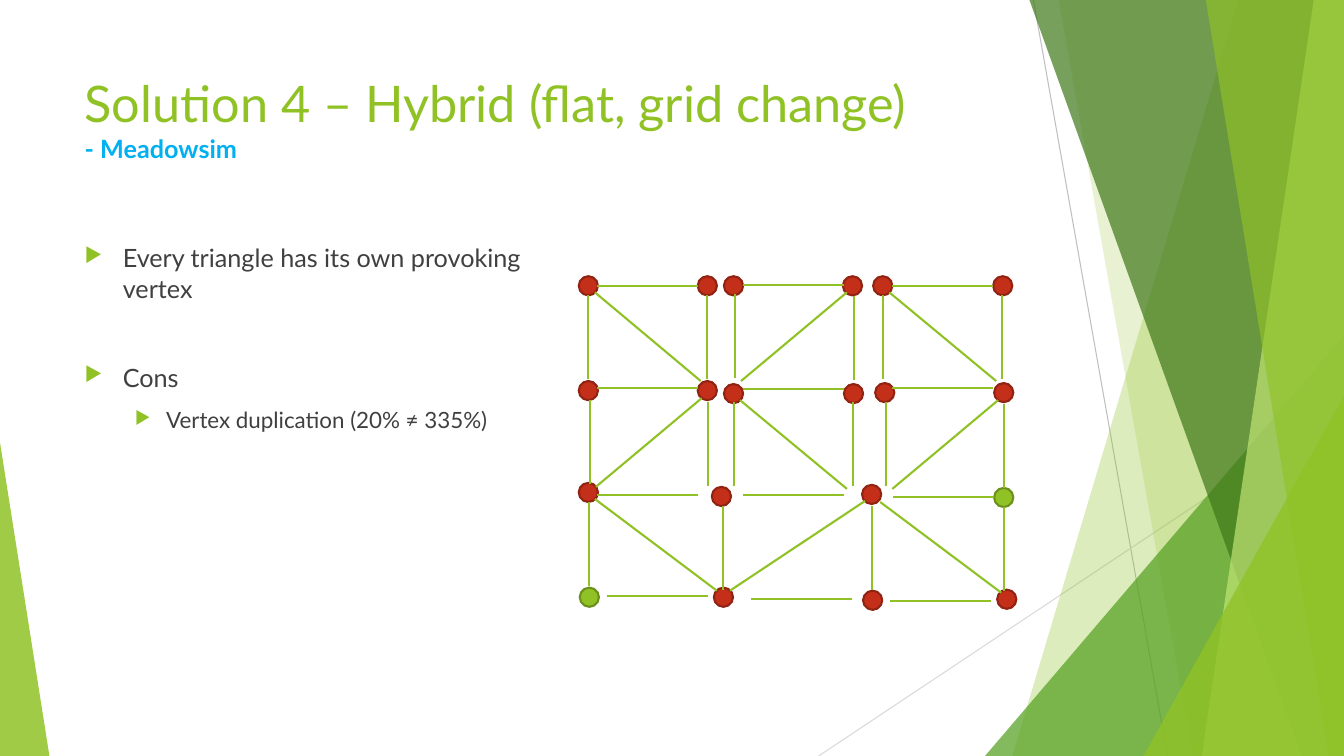
from lxml.etree import SubElement
from pptx import Presentation
from pptx.dml.color import RGBColor
from pptx.enum.shapes import MSO_CONNECTOR as Connector, MSO_SHAPE as Preset
from pptx.enum.text import MSO_ANCHOR as Anchor, MSO_AUTO_SIZE as AutoSize, PP_ALIGN as Align
from pptx.oxml.ns import qn
from pptx.util import Inches, Pt

GREEN = RGBColor(0x90, 0xC2, 0x26)
DARK_GREEN = RGBColor(0x6B, 0x90, 0x1C)
LEAF = RGBColor(0x54, 0xA0, 0x21)
FOREST = RGBColor(0x3F, 0x78, 0x19)
LIME = RGBColor(0xC0, 0xE4, 0x74)
RED = RGBColor(0xC4, 0x2F, 0x1A)
DARK_RED = RGBColor(0x91, 0x23, 0x13)
BLUE = RGBColor(0x00, 0xB0, 0xF0)
TEXT_GREY = RGBColor(0x40, 0x40, 0x40)
SILVER = RGBColor(0xBF, 0xBF, 0xBF)
PALE_GREY = RGBColor(0xD9, 0xD9, 0xD9)

FONT = "Lato"
WIDTH, HEIGHT = 13.33, 7.5
DOT = 0.19
EDGE_ACROSS, EDGE_DOWN = 1.0, 0.83

RED_DOTS = [
    (5.74, 2.74), (6.92, 2.74), (7.18, 2.74), (8.36, 2.74), (8.66, 2.74), (9.85, 2.74),
    (5.74, 3.78), (6.92, 3.78), (7.18, 3.81), (8.37, 3.81), (8.68, 3.8), (9.86, 3.8),
    (5.74, 4.79), (7.06, 4.83), (8.55, 4.81),
    (7.08, 5.83), (8.56, 5.86), (9.89, 5.85),
]
GREEN_DOTS = [(9.86, 4.84), (5.75, 5.83)]
ACROSS_STARTS = [
    (5.92, 2.84), (7.37, 2.83), (8.85, 2.84),
    (5.92, 3.85), (7.37, 3.86), (8.85, 3.85),
    (5.92, 4.91), (7.37, 4.91), (8.86, 4.93),
    (6.02, 5.91), (7.45, 5.94), (8.83, 5.96),
]
DOWN_STARTS = [
    (5.83, 2.93), (7.01, 2.93), (7.29, 2.92), (8.47, 2.94), (8.76, 2.93), (9.94, 2.93),
    (5.85, 3.97), (7.02, 3.99), (7.28, 3.99), (8.46, 3.99), (8.79, 3.99), (9.96, 4.01),
    (5.84, 4.98), (7.17, 5.02), (8.65, 5.02), (9.96, 5.03),
]
DIAGONALS = [
    (5.9, 2.9, 6.95, 3.78), (8.4, 2.9, 7.35, 3.78), (8.82, 2.9, 9.88, 3.78),
    (6.96, 3.95, 5.91, 4.83), (7.34, 3.97, 8.4, 4.85), (9.9, 3.97, 8.85, 4.85),
    (5.9, 4.95, 7.11, 5.86), (8.58, 4.97, 7.24, 5.86), (8.73, 4.98, 9.93, 5.88),
]


def apply_format(target, values):
    for name, value in values.items():
        setattr(target, name, value)


def paint(shape, color, opacity=100):
    shape.shadow.inherit = False
    shape.fill.solid()
    shape.fill.fore_color.rgb = color
    shape.line.fill.background()
    if opacity < 100:
        for tint in shape._element.spPr.iter(qn("a:srgbClr")):
            SubElement(tint, qn("a:alpha"), val=str(opacity * 1000))


def add_line(page, x1, y1, x2, y2, color=GREEN, weight=1.5):
    line = page.shapes.add_connector(
        Connector.STRAIGHT, Inches(x1), Inches(y1), Inches(x2), Inches(y2))
    line.line.color.rgb = color
    line.line.width = Pt(weight)
    SubElement(line._element.spPr, qn("a:effectLst"))


def add_band(page, top_left, top_right, bottom_left, color, opacity):
    corners = [(top_right, 0), (WIDTH, HEIGHT), (bottom_left, HEIGHT)]
    if top_right < WIDTH:
        corners.insert(1, (WIDTH, 0))
    else:
        corners[0] = (WIDTH, 0)
    builder = page.shapes.build_freeform(Inches(top_left), 0)
    builder.add_line_segments([(Inches(x), Inches(y)) for x, y in corners])
    paint(builder.convert_to_shape(), color, opacity)


def add_wedge(page, left, top, width, apex, color, opacity):
    wedge = page.shapes.add_shape(
        Preset.ISOSCELES_TRIANGLE, Inches(left), Inches(top),
        Inches(width), Inches(HEIGHT - top))
    wedge.adjustments[0] = apex
    paint(wedge, color, opacity)


def add_dot(page, left, top, fill, outline):
    dot = page.shapes.add_shape(
        Preset.OVAL, Inches(left), Inches(top), Inches(DOT), Inches(DOT))
    paint(dot, fill)
    dot.line.color.rgb = outline
    dot.line.width = Pt(1.5)


def add_span(para, text, size, color, bold=False):
    span = para.add_run()
    span.text = text
    apply_format(span.font, {"name": FONT, "size": Pt(size), "bold": bold})
    span.font.color.rgb = color


def place(box, left, top, width, height):
    apply_format(box, {"left": Inches(left), "top": Inches(top),
                       "width": Inches(width), "height": Inches(height)})
    apply_format(box.text_frame, {"word_wrap": True, "auto_size": AutoSize.NONE,
                                  "vertical_anchor": Anchor.TOP})


def add_bullet(para, text, size, indent, hanging, before, level=0):
    apply_format(para, {"space_before": Pt(before), "level": level,
                        "alignment": Align.LEFT})
    props = para._p.get_or_add_pPr()
    props.set("marL", str(Inches(indent)))
    props.set("indent", str(-Inches(hanging)))
    color = SubElement(props, qn("a:buClr"))
    SubElement(color, qn("a:srgbClr"), val=str(GREEN))
    SubElement(props, qn("a:buSzPct"), val="80000")
    SubElement(props, qn("a:buChar"), char="▶")
    add_span(para, text, size, TEXT_GREY)


def add_backdrop(page):
    add_line(page, 10.25, 0, 11.58, HEIGHT, SILVER, 0.75)
    add_line(page, WIDTH, 4.03, 8.12, HEIGHT, PALE_GREY, 0.75)
    add_band(page, 12.28, WIDTH, 10.04, GREEN, 30)
    add_band(page, 10.5, WIDTH, 11.83, GREEN, 20)
    add_wedge(page, 9.77, 3.33, 3.56, 1, LEAF, 72)
    add_band(page, 10.21, WIDTH, 12.91, FOREST, 70)
    add_band(page, 13.03, WIDTH, 11.92, LIME, 70)
    add_band(page, 11.96, WIDTH, 13.18, GREEN, 65)
    add_wedge(page, 11.34, 3.93, 1.99, 1, GREEN, 80)
    add_wedge(page, 0, 4.39, 0.49, 0, GREEN, 85)


def write_title(page):
    title = page.shapes.title
    place(title, 0.74, 0.67, 9.4, 1.44)
    para = title.text_frame.paragraphs[0]
    para.alignment = Align.LEFT
    add_span(para, "Solution 4 – Hybrid (flat, grid change)", 36, GREEN)
    para.add_line_break()
    add_span(para, "- Meadowsim", 18, BLUE, True)


def write_points(page):
    box = page.shapes.add_textbox(0, 0, 0, 0)
    place(box, 0.74, 2.36, 4.84, 4.24)
    frame = box.text_frame
    add_bullet(frame.paragraphs[0], "Every triangle has its own provoking vertex",
               18, 0.38, 0.38, 0)
    add_bullet(frame.add_paragraph(), "Cons", 18, 0.38, 0.38, 42)
    add_bullet(frame.add_paragraph(), "Vertex duplication (20% ≠ 335%)",
               16, 0.81, 0.31, 10, 1)


def draw_mesh(page):
    for left, top in RED_DOTS:
        add_dot(page, left, top, RED, DARK_RED)
    for left, top in GREEN_DOTS:
        add_dot(page, left, top, GREEN, DARK_GREEN)
    for x, y in ACROSS_STARTS:
        add_line(page, x, y, x + EDGE_ACROSS, y)
    for x, y in DOWN_STARTS:
        add_line(page, x, y, x, y + EDGE_DOWN)
    for ends in DIAGONALS:
        add_line(page, *ends)


def main():
    deck = Presentation()
    apply_format(deck, {"slide_width": Inches(WIDTH), "slide_height": Inches(HEIGHT)})
    page = deck.slides.add_slide(deck.slide_layouts[5])
    add_backdrop(page)
    write_title(page)
    write_points(page)
    draw_mesh(page)
    deck.save("out.pptx")


main()
